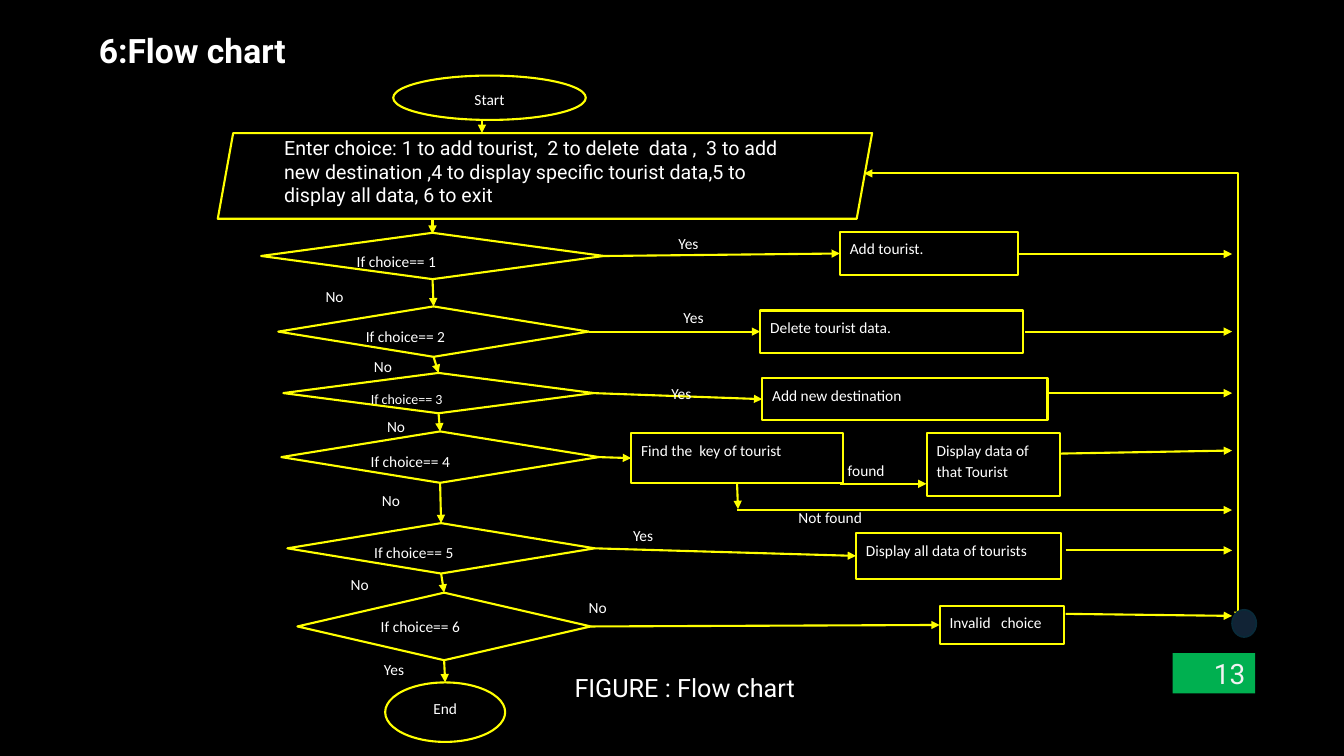
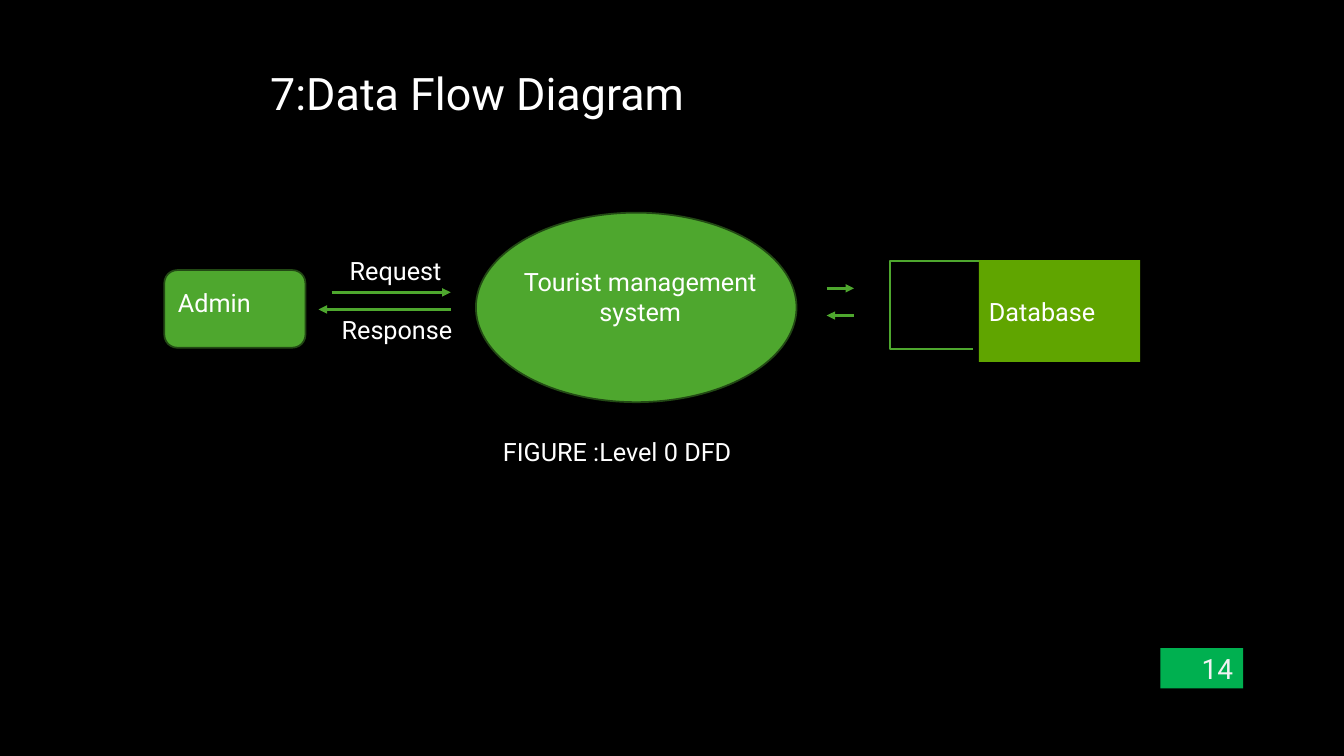
from itertools import pairwise

from lxml import etree
from pptx import Presentation
from pptx.dml.color import RGBColor
from pptx.enum import shapes, text
from pptx.oxml.ns import qn
from pptx.util import Inches, Pt

SHAPE = shapes.MSO_SHAPE
LINK = shapes.MSO_CONNECTOR
ALIGN = text.PP_ALIGN
ANCHOR = text.MSO_ANCHOR

BLACK = RGBColor(0x00, 0x00, 0x00)
WHITE = RGBColor(0xFF, 0xFF, 0xFF)
PALE = RGBColor(0xF2, 0xF2, 0xF2)
YELLOW = RGBColor(0xFF, 0xFF, 0x00)
GREEN = RGBColor(0x4E, 0xA7, 0x2E)
FOREST = RGBColor(0x22, 0x49, 0x14)
LIME = RGBColor(0x60, 0xA5, 0x00)
BADGE = RGBColor(0x00, 0xB0, 0x50)
NAVY = RGBColor(0x11, 0x23, 0x35)
TEAL = RGBColor(0x09, 0x2A, 0x39)

# Flow chart: each place is left, top, width, height
START = (3.9, 0.75, 1.91, 0.44)
INPUT = (2.16, 1.32, 6.49, 0.85)
END = (3.82, 6.77, 1.19, 0.59)
PROMPT = ("Enter choice: 1 to add tourist,  2 to delete  data ,  3 to add "
          "new destination ,4 to display specific tourist data,5 to "
          "display all data, 6 to exit")
# Each choice: place of the test, text size, action and its place
CHOICES = [
    ((2.59, 2.31, 3.4, 0.46), 11, "Add tourist.", (8.33, 2.3, 1.77, 0.43)),
    ((2.76, 3.04, 3.08, 0.5), 11, "Delete tourist data.", (7.54, 3.08, 2.61, 0.42)),
    ((2.81, 3.7, 3.08, 0.4), 10, "Add new destination", (7.56, 3.75, 2.83, 0.42)),
    ((2.79, 4.28, 3.15, 0.51), 11, "Find the  key of tourist", (6.26, 4.3, 2.1, 0.49)),
    ((2.85, 5.19, 3.05, 0.5), 11, "Display all data of tourists", (8.49, 5.29, 2.03, 0.45)),
    ((2.95, 5.88, 2.91, 0.67), 11, "Invalid   choice", (9.32, 6.01, 1.23, 0.38)),
]
RESULT = (9.19, 4.3, 1.32, 0.62)
LABELS = {
    "Yes": [(6.63, 2.25), (6.68, 2.98), (6.56, 3.73), (6.18, 5.14), (3.71, 6.47)],
    "No": [(3.13, 2.77), (3.61, 3.47), (3.74, 4.06), (3.69, 4.8), (3.38, 5.63),
           (5.74, 5.86)],
    "found": [(8.31, 4.5)],
    "Not found": [(7.82, 4.96)],
}
# Arrows to the return line: start x, start y, end y
RAIL = 12.22
EXITS = [(10.1, 2.52, 2.52), (10.17, 3.29, 3.29), (10.39, 3.9, 3.9),
         (10.51, 4.5, 4.47), (7.31, 5.06, 5.06), (10.57, 5.46, 5.46),
         (10.57, 6.09, 6.11)]
LINKS = [((4.78, 1.18), (4.78, 1.32)), ((4.29, 2.17), (4.29, 2.32)),
         ((8.33, 4.8), (9.19, 4.8)), ((7.31, 4.79), (7.32, 5.05))]

# Data flow diagram
FLOWS = [((3.29, 2.9), (4.47, 2.9)), ((4.47, 3.07), (3.16, 3.07)),
         ((8.2, 2.86), (8.47, 2.86)), ((8.47, 3.13), (8.2, 3.13))]
NOTES = [
    ("Tourist management system", (5.08, 2.59, 2.54, 0.71), ALIGN.CENTER),
    ("Response", (3.29, 3.07, 1.44, 0.4), ALIGN.LEFT),
    ("Request", (3.37, 2.48, 1.19, 0.4), ALIGN.LEFT),
    ("FIGURE :Level 0 DFD", (4.89, 4.28, 6.42, 0.4), ALIGN.LEFT),
]


def inches(nums):
    return [Inches(n) for n in nums]


def write(shape, words, size, font="Roboto", color=WHITE, align=ALIGN.LEFT,
          anchor=ANCHOR.TOP, bold=False, gap=None):
    frame = shape.text_frame
    frame.text = words
    frame.word_wrap = True
    frame.auto_size = text.MSO_AUTO_SIZE.NONE
    frame.vertical_anchor = anchor
    para = frame.paragraphs[0]
    para.alignment = align
    para.line_spacing = gap
    style = para.runs[0].font
    style.name, style.size, style.bold = font, Pt(size), bold
    style.color.rgb = color


def note(slide, words, place, size, **style):
    write(slide.shapes.add_textbox(*inches(place)), words, size, **style)


def draw(slide, kind, place, fill=None, edge=None, width=1.25):
    shape = slide.shapes.add_shape(kind, *inches(place))
    shape.shadow.inherit = False
    if fill is None:
        shape.fill.background()
    else:
        shape.fill.solid()
        shape.fill.fore_color.rgb = fill
    if edge is None:
        shape.line.fill.background()
    else:
        shape.line.color.rgb = edge
        shape.line.width = Pt(width)
    return shape


def link(slide, start, end, color, width, ends=("tailEnd",), kind=LINK.STRAIGHT):
    """Draw a connector with a triangle at each of the named ends."""
    line = slide.shapes.add_connector(kind, *inches(start + end))
    line.line.color.rgb = color
    line.line.width = Pt(width)
    props = line._element.spPr
    for tip in ends:
        etree.SubElement(props.find(qn("a:ln")), qn("a:" + tip), type="triangle")
    etree.SubElement(props, qn("a:effectLst"))
    return props.find(qn("a:prstGeom"))


def add_slide(deck, title, place, size, bold, number, corner):
    slide = deck.slides.add_slide(deck.slide_layouts[5])
    head = slide.shapes.title
    head.left, head.top, head.width, head.height = inches(place)
    write(head, title, size, bold=bold)
    badge = draw(slide, SHAPE.RECTANGLE, corner + (0.82, 0.4), BADGE)
    write(badge, number, 20, color=PALE, align=ALIGN.RIGHT, anchor=ANCHOR.MIDDLE)
    return slide


def mid(place, side):
    """Give the middle of one side of a place."""
    x, y, w, h = place
    return {"left": (x, y + h / 2), "right": (x + w, y + h / 2),
            "top": (x + w / 2, y), "bottom": (x + w / 2, y + h)}[side]


def flow_chart(deck):
    slide = add_slide(deck, "6:Flow chart", (0.88, 0.25, 6.19, 0.5), 24, True,
                      "13", (11.63, 6.48))

    def step(kind, place, words, size=11, align=ALIGN.LEFT):
        shape = draw(slide, kind, place, edge=YELLOW, width=1.5)
        write(shape, words, size, font="Calibri", align=align, gap=1.15)

    def arrow(start, end, **style):
        return link(slide, start, end, YELLOW, 1.5, **style)

    step(SHAPE.OVAL, START, "Start", align=ALIGN.CENTER)
    step(SHAPE.OVAL, END, "End", align=ALIGN.CENTER)
    slant = draw(slide, SHAPE.PARALLELOGRAM, INPUT, edge=YELLOW, width=1.5)
    slant.adjustments[0] = 0.18
    note(slide, PROMPT, (2.72, 1.3, 5.27, 0.81), 14)

    for num, (test, size, action, place) in enumerate(CHOICES, 1):
        step(SHAPE.DIAMOND, test, f"If choice== {num}", size)
        step(SHAPE.RECTANGLE, place, action)
        arrow(mid(test, "right"), mid(place, "left"))
    step(SHAPE.RECTANGLE, RESULT, "Display data of that Tourist")

    for upper, lower in pairwise([row[0] for row in CHOICES] + [END]):
        arrow(mid(upper, "bottom"), mid(lower, "top"))
    for start, end in LINKS:
        arrow(start, end)
    for x, top, low in EXITS:
        arrow((x, top), (RAIL, low))
    bend = arrow((8.57, 1.72), (12.28, 6.15), ends=("headEnd", "tailEnd"),
                 kind=LINK.ELBOW)
    bend.set("prst", "bentConnector2")

    for words, spots in LABELS.items():
        width = 0.89 if len(words) < 4 else 1.5
        for spot in spots:
            note(slide, words, spot + (width, 0.3), 11, font="Calibri", gap=1.15)
    note(slide, "FIGURE : Flow chart", (5.6, 6.62, 3.87, 0.4), 18)
    draw(slide, SHAPE.OVAL, (12.22, 6.05, 0.24, 0.27), NAVY, TEAL)


def data_flow(deck):
    slide = add_slide(deck, "7:Data Flow Diagram", (2.58, 0.6, 8.72, 0.64), 32,
                      False, "14", (11.51, 6.43))
    admin = draw(slide, SHAPE.ROUNDED_RECTANGLE, (1.63, 2.68, 1.4, 0.77), GREEN, FOREST)
    write(admin, "Admin", 18)
    admin.text_frame.margin_top = Inches(0.13)
    draw(slide, SHAPE.OVAL, (4.72, 2.11, 3.18, 1.88), GREEN, FOREST)

    store = link(slide, (10.7, 2.59), (9.65, 3.46), GREEN, 1.25, ends=(),
                 kind=LINK.ELBOW)
    etree.SubElement(store.find(qn("a:avLst")), qn("a:gd"), name="adj1",
                     fmla="val 178600")
    data = draw(slide, SHAPE.RECTANGLE, (9.71, 2.58, 1.6, 1.01), LIME)
    write(data, "Database", 18, anchor=ANCHOR.MIDDLE)

    for start, end in FLOWS:
        link(slide, start, end, GREEN, 2)
    for words, place, align in NOTES:
        note(slide, words, place, 18, align=align)


def main():
    deck = Presentation()
    deck.slide_width, deck.slide_height = inches((13.33, 7.5))
    back = deck.slide_master.background.fill
    back.solid()
    back.fore_color.rgb = BLACK
    flow_chart(deck)
    data_flow(deck)
    deck.save("out.pptx")


if __name__ == "__main__":
    main()
